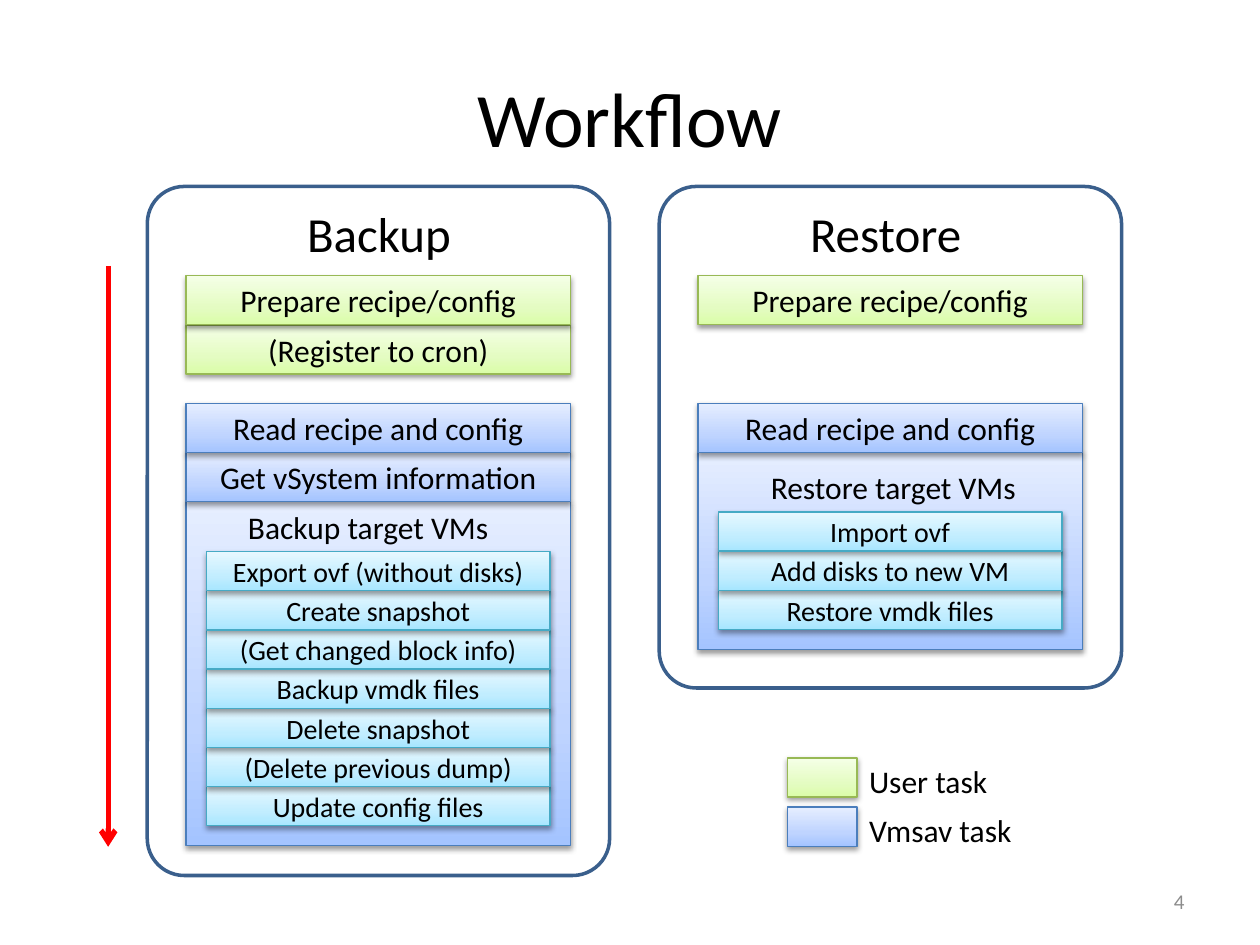
from copy import deepcopy
from dataclasses import dataclass

from lxml.etree import SubElement as Sub
from pptx import Presentation
from pptx.dml.color import RGBColor
from pptx.enum.shapes import MSO_CONNECTOR as Link, MSO_SHAPE as Form
from pptx.enum.text import MSO_ANCHOR as Anchor, MSO_AUTO_SIZE as Auto, PP_ALIGN as Align
from pptx.oxml.ns import qn
from pptx.util import Cm, Pt


@dataclass(frozen=True)
class Style:
    stops: tuple[str, str, str]
    edge: str
    size: int


@dataclass(frozen=True)
class Box:
    style: Style
    x: float
    y: float
    w: float
    h: float
    text: str = ""


@dataclass(frozen=True)
class Label:
    text: str
    x: float
    y: float
    w: float
    h: float = 1.03
    size: int = 18


GREEN = Style(("DAFDA7", "E4FCC2", "F5FFE7"), "98B955", 18)
BLUE = Style(("A4C4FF", "BFD4FF", "E6EEFF"), "4B7EBC", 18)
CYAN = Style(("A7E6FF", "C1EDFF", "E7F8FF"), "46AAC5", 16)

# Shared grid, in centimetres
LEFT, SHIFT = 3.75, 10.32
WIDE, ROW = 7.75, 0.99
INSET, SLIM, STEP = 0.41, 6.93, 0.79
USER, TOOL = 5.56, 8.13


def paint(color, code: str) -> None:
    color.rgb = RGBColor.from_string(code)


def write(frame, text: str, size: int, align=None, code: str = "000000") -> None:
    para = frame.paragraphs[0]
    para.alignment = align
    run = para.add_run()
    run.text = text
    run.font.name = "Calibri"
    run.font.size = Pt(size)
    paint(run.font.color, code)


def shade(shape) -> None:
    shape.shadow.inherit = False
    effects = shape._element.spPr.find(qn("a:effectLst"))
    drop = Sub(effects, qn("a:outerShdw"), blurRad="40000", dist="20000",
               dir="5400000", rotWithShape="0")
    tint = Sub(drop, qn("a:srgbClr"), val="000000")
    Sub(tint, qn("a:alpha"), val="38000")


def blend(shape, codes: tuple[str, str, str]) -> None:
    shape.fill.gradient()
    shape.fill.gradient_angle = 90
    stops = shape._element.spPr.find(qn("a:gradFill")).find(qn("a:gsLst"))
    stops.append(deepcopy(stops[-1]))
    for stop, place, code in zip(shape.fill.gradient_stops, (0, 0.35, 1), codes):
        stop.position = place
        paint(stop.color, code)


def draw(box: Box) -> None:
    shape = shapes.add_shape(Form.RECTANGLE, Cm(box.x), Cm(box.y), Cm(box.w), Cm(box.h))
    blend(shape, box.style.stops)
    paint(shape.line.color, box.style.edge)
    shape.line.width = Pt(0.75)
    shade(shape)
    if box.text:
        shape.text_frame.vertical_anchor = Anchor.MIDDLE
        write(shape.text_frame, box.text, box.style.size, Align.CENTER)


def stack(style: Style, x: float, y: float, w: float, h: float, names: list[str]) -> None:
    """Draw rows from the bottom up, so each shadow falls on the row below."""
    for i, name in reversed(list(enumerate(names))):
        draw(Box(style, x, y + i * h, w, h, name))


def note(label: Label) -> None:
    area = shapes.add_textbox(Cm(label.x), Cm(label.y), Cm(label.w), Cm(label.h))
    area.text_frame.word_wrap = False
    area.text_frame.auto_size = Auto.SHAPE_TO_FIT_TEXT
    write(area.text_frame, label.text, label.size)


def frame(x: float, h: float) -> None:
    shape = shapes.add_shape(Form.ROUNDED_RECTANGLE, Cm(x), Cm(3.76), Cm(9.32), Cm(h))
    shape.adjustments[0] = 0.08
    shape.fill.background()
    paint(shape.line.color, "3A5F8C")
    shape.line.width = Pt(2)
    shape.shadow.inherit = False


deck = Presentation()
deck.slide_width, deck.slide_height = Cm(25.4), Cm(19.05)
slide = deck.slides.add_slide(deck.slide_layouts[5])
shapes = slide.shapes

# Title
title = shapes.title
title.left, title.top, title.width, title.height = Cm(1.27), Cm(0.76), Cm(22.86), Cm(3.18)
title.text_frame.vertical_anchor = Anchor.MIDDLE
write(title.text_frame, "Workflow", 44, Align.CENTER)

# Panels
frame(2.97, 13.89)
frame(2.97 + SHIFT, 10.11)

# Backup flow
stack(GREEN, LEFT, USER, WIDE, ROW, ["Prepare recipe/config", "(Register to cron)"])
draw(Box(BLUE, LEFT, TOOL + 2 * ROW, WIDE, 6.94))
stack(BLUE, LEFT, TOOL, WIDE, ROW, ["Read recipe and config", "Get vSystem information"])
stack(CYAN, LEFT + INSET, 11.12, SLIM, STEP, [
    "Export ovf (without disks)", "Create snapshot", "(Get changed block info)",
    "Backup vmdk files", "Delete snapshot", "(Delete previous dump)",
    "Update config files"])

# Restore flow
stack(GREEN, LEFT + SHIFT, USER, WIDE, ROW, ["Prepare recipe/config"])
draw(Box(BLUE, LEFT + SHIFT, TOOL + ROW, WIDE, 3.97))
stack(BLUE, LEFT + SHIFT, TOOL, WIDE, ROW, ["Read recipe and config"])
stack(CYAN, LEFT + SHIFT + INSET, 10.32, SLIM, STEP,
      ["Import ovf", "Add disks to new VM", "Restore vmdk files"])

# Legend keys
for i, style in enumerate((GREEN, BLUE)):
    draw(Box(style, 15.88, 15.28 + i * ROW, 1.4, STEP))

# Headings and legend text
for label in (
    Label("Backup", 5.94, 3.97, 3.45, 1.45, 28),
    Label("Restore", 16.08, 3.97, 3.58, 1.45, 28),
    Label("Backup target VMs", 4.75, 10.12, 5.41),
    Label("Restore target VMs", 15.29, 9.32, 5.51),
    Label("User task", 17.27, 15.24, 2.92),
    Label("Vmsav task", 17.27, 15.24 + ROW, 3.53),
):
    note(label)

# Time arrow
arrow = shapes.add_connector(Link.STRAIGHT, Cm(2.18), Cm(5.36), Cm(2.18), Cm(17.07))
paint(arrow.line.color, "FF0000")
arrow.line.width = Pt(3)
Sub(arrow.line._get_or_add_ln(), qn("a:tailEnd"), type="arrow")
Sub(arrow._element.spPr, qn("a:effectLst"))

# Page number
page = shapes.add_textbox(Cm(18.21), Cm(17.65), Cm(5.92), Cm(1.02)).text_frame
page.word_wrap = True
page.vertical_anchor = Anchor.MIDDLE
write(page, "4", 12, Align.RIGHT, "8C8C8C")

deck.save("out.pptx")
